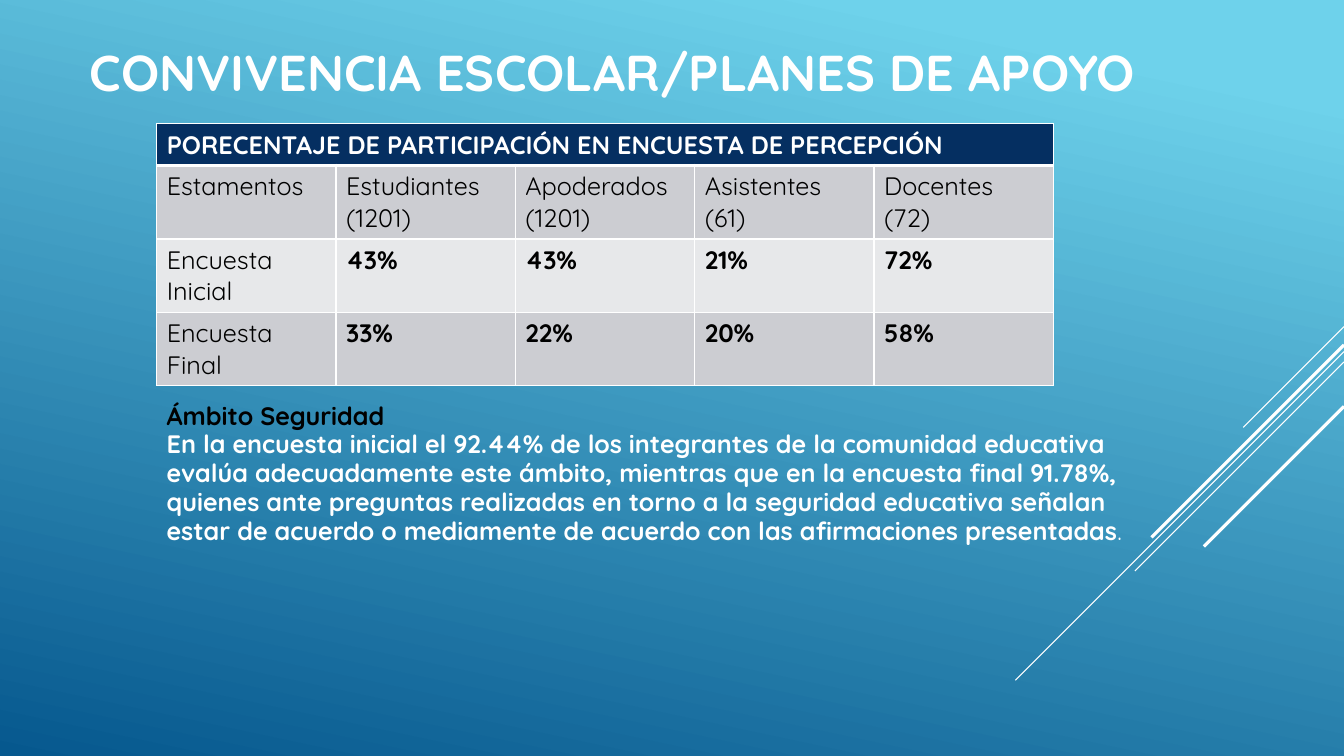
from lxml.etree import SubElement
from pptx import Presentation
from pptx.dml.color import RGBColor
from pptx.enum.shapes import MSO_CONNECTOR as Connector
from pptx.enum.text import MSO_ANCHOR as Anchor, MSO_AUTO_SIZE as AutoSize, PP_ALIGN as Align
from pptx.oxml.ns import qn
from pptx.util import Cm, Pt

WIDTH, HEIGHT = 33.87, 19.05
WHITE, BLACK, NAVY = "FFFFFF", "000000", "052F61"
BANDS = ["CCCDD2", "E7E8EA"]
SKY, DEEP_BLUE = "6ED2EB", "06588E"

HEADING = "PORECENTAJE DE PARTICIPACIÓN EN ENCUESTA DE PERCEPCIÓN"
SURVEY_ROWS = [
    ["Estamentos", "Estudiantes\n(1201)", "Apoderados (1201)", "Asistentes (61)", "Docentes (72)"],
    ["Encuesta Inicial", "43%", "43%", "21%", "72%"],
    ["Encuesta Final", "33%", "22%", "20%", "58%"],
]
SAFETY_TEXT = (
    "En la encuesta inicial el 92.44% de los integrantes de la comunidad educativa evalúa "
    "adecuadamente este ámbito, mientras que en la encuesta final 91.78%, quienes ante preguntas "
    "realizadas en torno a la seguridad educativa señalan estar de acuerdo o mediamente de acuerdo "
    "con las afirmaciones presentadas"
)
DIAGONALS = [(8.23, 2.54, 0.75), (8.86, 8.28, 0.75), (9.12, 5.27, 0.75), (8.69, 4.85, 2.25), (10.24, 3.53, 2.25)]


def color(value):
    """Turn a hex string into a colour."""
    return RGBColor.from_string(value)


class SlideBuilder:
    """Holds the text style and the slide being built."""

    def __init__(self, slide, font_name="Quicksand", size=18):
        """Keep the slide and its text style."""
        self.slide = slide
        self.font_name = font_name
        self.size = size

    def style(self, font, value, bold, size=None):
        """Format a paragraph or run font."""
        font.name = self.font_name
        font.size = Pt(size or self.size)
        font.bold = bold
        font.color.rgb = color(value)

    def background(self, start, end):
        """Paint the gradient background."""
        fill = self.slide.background.fill
        fill.gradient()
        fill.gradient_angle = 258
        for stop, position, value in zip(fill.gradient_stops, (0.1, 1), (start, end)):
            stop.position = position
            stop.color.rgb = color(value)

    def diagonal(self, top, length, weight):
        """Draw a 45-degree line inward from the right edge."""
        line = self.slide.shapes.add_connector(
            Connector.STRAIGHT, Cm(WIDTH), Cm(top), Cm(WIDTH - length), Cm(top + length))
        line.line.color.rgb = color(WHITE)
        line.line.width = Pt(weight)
        SubElement(line._element.spPr, qn("a:effectLst"))

    def title(self, text, left, top, width, height):
        """Fill and place the title placeholder."""
        title = self.slide.shapes.title
        title.left, title.top, title.width, title.height = Cm(left), Cm(top), Cm(width), Cm(height)
        frame = title.text_frame
        frame.text = text
        frame.auto_size = AutoSize.NONE
        frame.vertical_anchor = Anchor.MIDDLE
        paragraph = frame.paragraphs[0]
        paragraph.alignment = Align.LEFT
        self.style(paragraph.font, WHITE, True, 36)

    def cell(self, cell, text, fill, value, bold, bottom=1):
        """Write, border and fill one table cell."""
        cell.text = text
        for paragraph in cell.text_frame.paragraphs:
            self.style(paragraph.font, value, bold)
        properties = cell._tc.get_or_add_tcPr()
        for side, weight in (("L", 1), ("R", 1), ("T", 1), ("B", bottom)):
            border = SubElement(properties, qn(f"a:ln{side}"), w=str(Pt(weight)))
            SubElement(SubElement(border, qn("a:solidFill")), qn("a:srgbClr"), val=WHITE)
        cell.fill.solid()
        cell.fill.fore_color.rgb = color(fill)

    def table(self, heading, rows, left, top, column_width, heading_height, row_height):
        """Add a banded table under a merged heading."""
        columns = len(rows[0])
        height = heading_height + row_height * len(rows)
        table = self.slide.shapes.add_table(
            len(rows) + 1, columns, Cm(left), Cm(top), Cm(column_width * columns), Cm(height)).table
        for row in table.rows:
            row.height = Cm(row_height)
        table.rows[0].height = Cm(heading_height)
        for column in range(columns):
            self.cell(table.cell(0, column), "" if column else heading, NAVY, WHITE, True, 3)
        table.cell(0, 0).merge(table.cell(0, columns - 1))
        for number, row in enumerate(rows):
            for column, text in enumerate(row):
                is_value = number > 0 and column > 0
                self.cell(table.cell(number + 1, column), text, BANDS[number % 2], BLACK, is_value)

    def commentary(self, heading, text, left, top, width, height):
        """Add a headed paragraph that closes with a light full stop."""
        box = self.slide.shapes.add_textbox(Cm(left), Cm(top), Cm(width), Cm(height))
        frame = box.text_frame
        frame.word_wrap = True
        frame.text = heading
        self.style(frame.paragraphs[0].font, BLACK, True)
        paragraph = frame.add_paragraph()
        paragraph.line_spacing = 0.96
        for content, bold in ((text, True), (".", False)):
            run = paragraph.add_run()
            run.text = content
            self.style(run.font, WHITE, bold)


def main():
    """Build and save the presentation."""
    presentation = Presentation()
    presentation.slide_width, presentation.slide_height = Cm(WIDTH), Cm(HEIGHT)
    builder = SlideBuilder(presentation.slides.add_slide(presentation.slide_layouts[5]))
    builder.background(SKY, DEEP_BLUE)
    for diagonal in DIAGONALS:
        builder.diagonal(*diagonal)
    builder.title("CONVIVENCIA ESCOLAR/PLANES DE APOYO", 2, -0.3, 27.97, 4.19)
    builder.table(HEADING, SURVEY_ROWS, 3.95, 3.12, 4.52, 1.04, 1.85)
    builder.commentary("Ámbito Seguridad", SAFETY_TEXT, 3.95, 9.96, 25.53, 4.11)
    presentation.save("out.pptx")


if __name__ == "__main__":
    main()
